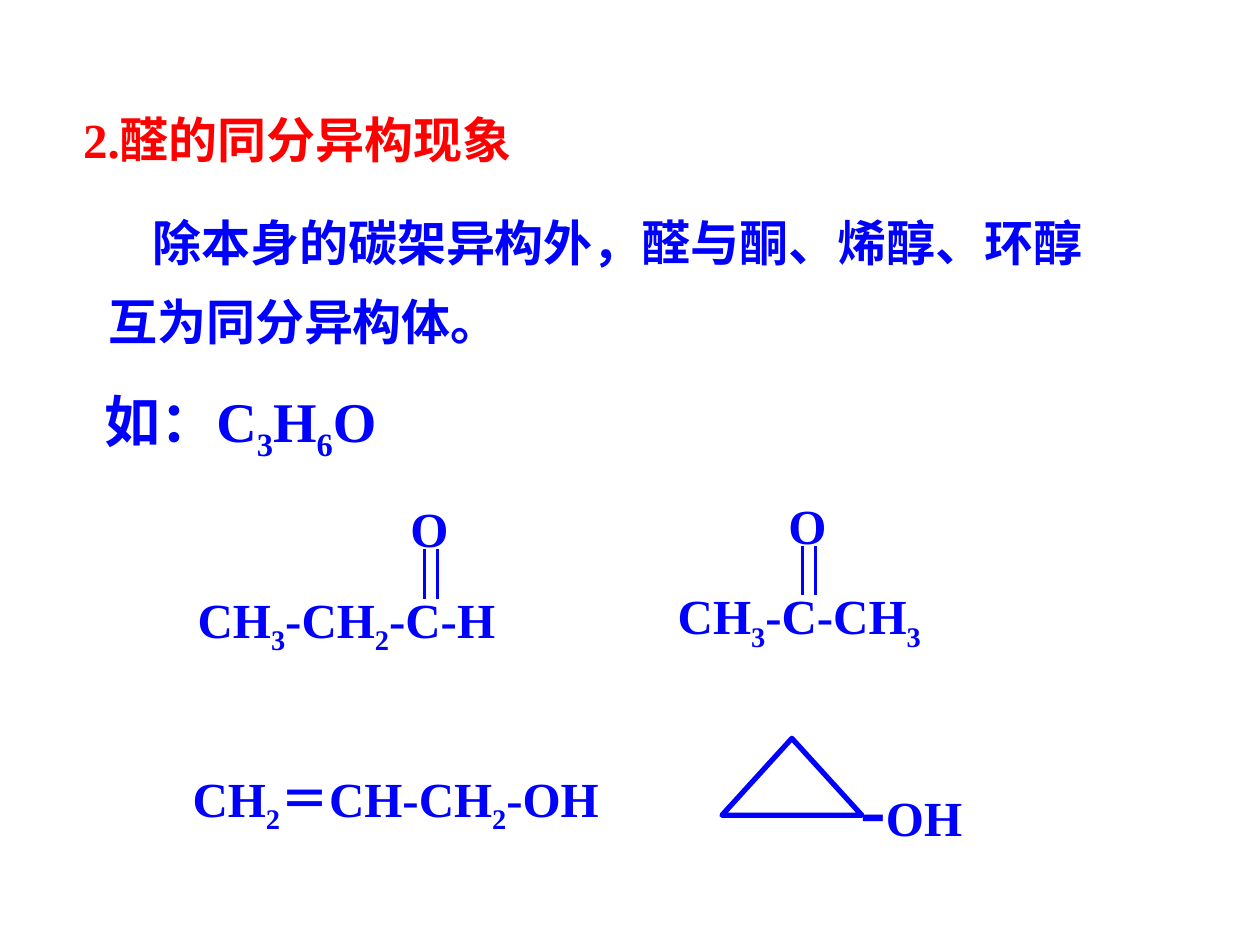
import dataclasses
import itertools

import lxml.etree
import pptx
import pptx.dml.color
import pptx.enum.shapes
import pptx.enum.text
import pptx.oxml.ns
import pptx.util
from pptx.util import Inches, Pt


@dataclasses.dataclass(frozen=True)
class Theme:
    heading: pptx.dml.color.RGBColor = pptx.dml.color.RGBColor(255, 0, 0)
    ink: pptx.dml.color.RGBColor = pptx.dml.color.RGBColor(0, 0, 255)
    latin: str = "Times New Roman"
    chinese: str = "Noto Sans CJK SC"
    text: pptx.util.Length = Pt(28)
    example: pptx.util.Length = Pt(32)
    long_bond: pptx.util.Length = Pt(44)
    bond_line: pptx.util.Length = Pt(1.75)
    ring_line: pptx.util.Length = Pt(3)
    tight: float = 0.8
    loose: float = 1.35


THEME = Theme()


def place(shape, box):
    shape.left, shape.top, shape.width, shape.height = map(Inches, box)


def style_run(run, size, color=THEME.ink, latin=THEME.latin):
    run.font.size = size
    run.font.bold = True
    run.font.name = latin
    run.font.color.rgb = color
    east_asian = lxml.etree.Element(pptx.oxml.ns.qn("a:ea"), typeface=THEME.chinese)
    run.font._element.find(pptx.oxml.ns.qn("a:latin")).addnext(east_asian)


def prepare_frame(shape, spacing, wrap=True):
    frame = shape.text_frame
    frame.word_wrap = wrap
    frame.auto_size = pptx.enum.text.MSO_AUTO_SIZE.NONE
    frame.vertical_anchor = pptx.enum.text.MSO_ANCHOR.TOP
    paragraph = frame.paragraphs[0]
    paragraph.alignment = pptx.enum.text.PP_ALIGN.LEFT
    paragraph.line_spacing = spacing
    paragraph.space_before = Pt(0)
    return paragraph


def add_formula(slide, box, formula, size=THEME.text, spacing=THEME.tight, wrap=True):
    formula_box = slide.shapes.add_textbox(*map(Inches, box))
    paragraph = prepare_frame(formula_box, spacing, wrap)
    for is_subscript, letters in itertools.groupby(formula, str.isdigit):
        run = paragraph.add_run()
        run.text = "".join(letters)
        style_run(run, size)
        if is_subscript:
            run.font._element.set("baseline", "-25000")
    return paragraph


def add_heading(slide, box, wording):
    heading = slide.shapes.title
    place(heading, box)
    heading.text_frame.text = wording
    paragraph = prepare_frame(heading, THEME.tight)
    style_run(paragraph.runs[0], THEME.text, THEME.heading)


def add_statement(slide, box, wording):
    statement = slide.placeholders[1]
    place(statement, box)
    statement.text_frame.text = wording
    properties = statement.text_frame.paragraphs[0]._p.get_or_add_pPr()
    properties.set("marL", "0")
    properties.set("indent", str(Inches(0.35)))
    lxml.etree.SubElement(properties, pptx.oxml.ns.qn("a:buNone"))
    paragraph = prepare_frame(statement, THEME.loose)
    style_run(paragraph.runs[0], THEME.text, latin=THEME.chinese)


def add_bond(slide, x, top, bottom):
    bond = slide.shapes.add_connector(
        pptx.enum.shapes.MSO_CONNECTOR.STRAIGHT,
        Inches(x), Inches(top), Inches(x), Inches(bottom),
    )
    bond.line.color.rgb = THEME.ink
    bond.line.width = THEME.bond_line
    lxml.etree.SubElement(bond._element.spPr, pptx.oxml.ns.qn("a:effectLst"))


def add_carbonyl(slide, box, formula, oxygen_offset):
    left, top, width, height = box
    chain_top = top + 0.68
    oxygen_left = left + oxygen_offset
    add_formula(slide, (left, chain_top, width, height - 0.68), formula)
    add_formula(slide, (oxygen_left, top, 0.6, 0.48), "O")
    for bond_offset in (0.21, 0.31):
        add_bond(slide, oxygen_left + bond_offset, top + 0.36, top + 0.75)


def add_cyclopropanol(slide, box):
    left, top, width, height = box
    ring = slide.shapes.add_shape(
        pptx.enum.shapes.MSO_SHAPE.ISOSCELES_TRIANGLE,
        *map(Inches, (left, top, 1.11, 0.61)),
    )
    ring.shadow.inherit = False
    ring.fill.background()
    ring.line.color.rgb = THEME.ink
    ring.line.width = THEME.ring_line
    hydroxyl_box = (left + 1, top + 0.26, width - 1, height - 0.26)
    hydroxyl = add_formula(slide, hydroxyl_box, "-")
    hydroxyl.runs[0].font.size = THEME.long_bond
    group = hydroxyl.add_run()
    group.text = "OH"
    style_run(group, THEME.text)


def main():
    deck = pptx.Presentation()
    deck.slide_width, deck.slide_height = Inches(10), Inches(7.5)
    slide = deck.slides.add_slide(deck.slide_layouts[1])
    add_heading(slide, (0.56, 0.91, 4.91, 0.48), "2.醛的同分异构现象")
    add_statement(
        slide, (0.76, 1.47, 8.15, 1.36),
        "除本身的碳架异构外，醛与酮、烯醇、环醇互为同分异构体。",
    )
    add_formula(
        slide, (0.73, 2.81, 2.46, 0.92), "如：C3H6O",
        THEME.example, THEME.loose, wrap=False,
    )
    add_carbonyl(slide, (1.47, 4, 2.92, 1.2), "CH3-CH2-C-H", 1.69)
    add_carbonyl(slide, (5.28, 3.97, 3.21, 1.2), "CH3-C-CH3", 0.88)
    add_formula(slide, (1.43, 6.1, 3.98, 0.53), "CH2＝CH-CH2-OH")
    add_cyclopropanol(slide, (5.73, 5.86, 2.66, 0.84))
    deck.save("out.pptx")


if __name__ == "__main__":
    main()
